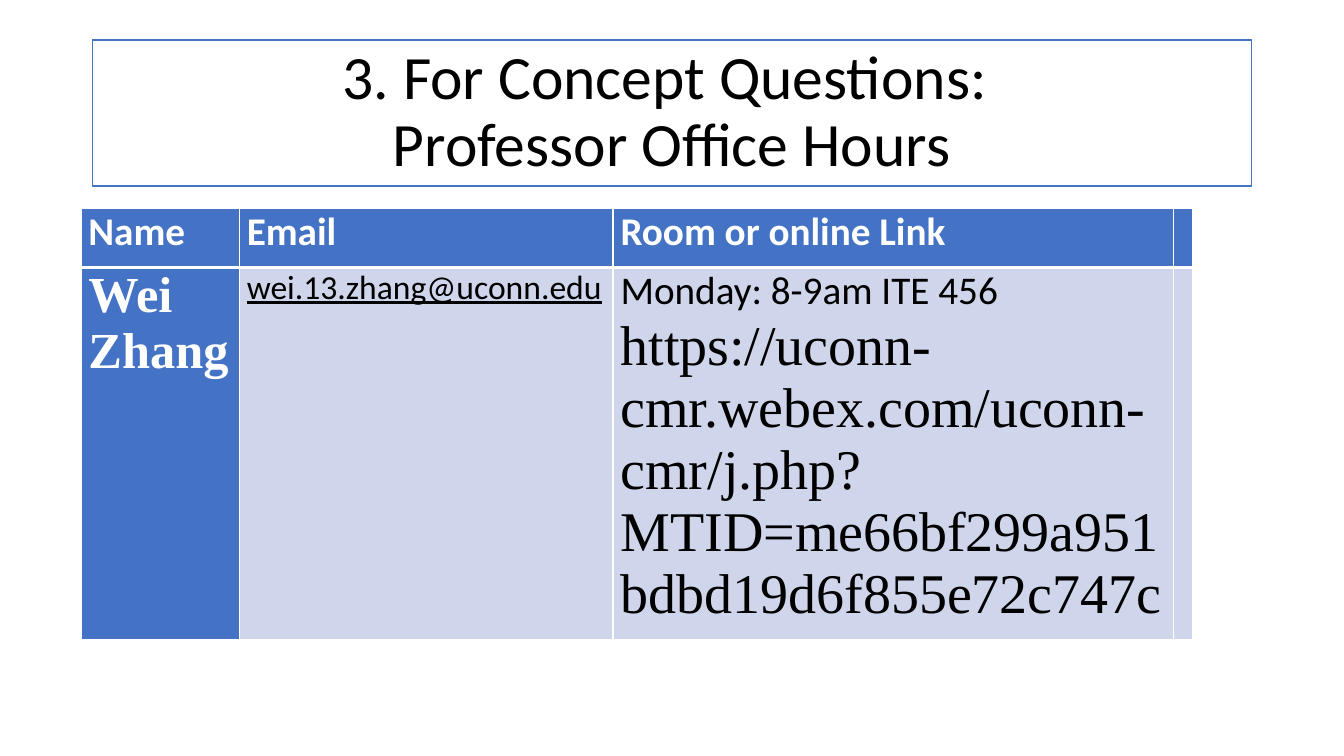
from lxml import etree
from pptx import Presentation
from pptx.dml.color import RGBColor
from pptx.enum.shapes import MSO_SHAPE
from pptx.enum.text import MSO_ANCHOR, PP_ALIGN
from pptx.oxml.ns import qn
from pptx.util import Cm, Pt

RECT = MSO_SHAPE.RECTANGLE
MIDDLE = MSO_ANCHOR.MIDDLE
CENTER = PP_ALIGN.CENTER

SANS, SERIF = "Calibri", "Times New Roman"
WHITE, BLACK, BLUE, PALE = "FFFFFF", "000000", "4472C4", "CFD5EA"

TITLE = "3. For Concept Questions: \vProfessor Office Hours"
WIDTHS = [3.99, 9.42, 14.12, 0.46]
HEIGHTS = [1.5, 9.37]
ROWS = [
    [
        [("Name", 28, SANS)],
        [("Email", 28, SANS)],
        [("Room or online Link", 28, SANS)],
        [],
    ],
    [
        [("Wei Zhang", 36, SERIF)],
        [("wei.13.zhang@uconn.edu", 24, SANS)],
        [
            ("Monday: 8-9am ITE 456", 28, SANS),
            ("https://uconn-cmr.webex.com/uconn-cmr/j.php?MTID=me66bf299a951bdbd19d6f855e72c747c", 40, SERIF),
        ],
        [],
    ],
]


def paint(fill, color):
    fill.solid()
    fill.fore_color.rgb = RGBColor.from_string(color)


def write(para, text, size, face, color, bold=False):
    para.text = text
    font = para.font
    font.size, font.name, font.bold = Pt(size), face, bold
    paint(font.fill, color)


def edge(cell, side, width):
    props = cell._tc.get_or_add_tcPr()
    line = etree.SubElement(props, qn("a:ln" + side), w=str(Pt(width)))
    solid = etree.SubElement(line, qn("a:solidFill"))
    etree.SubElement(solid, qn("a:srgbClr"), val=WHITE)


def add_title(slide):
    box = slide.shapes.add_shape(RECT, Cm(2.33), Cm(1.01), Cm(29.21), Cm(3.68))
    box.shadow.inherit = False
    paint(box.fill, WHITE)
    paint(box.line.fill, BLUE)
    box.line.width = Pt(1)
    frame = box.text_frame
    frame.word_wrap = True
    frame.vertical_anchor = MIDDLE
    para = frame.paragraphs[0]
    write(para, TITLE, 44, SANS, BLACK)
    para.alignment = CENTER
    para.line_spacing = 0.9


def fill_cell(cell, lines, row, col):
    for side in "LRTB":
        thick = (row, side) in [(0, "B"), (1, "T")]
        edge(cell, side, 3 if thick else 1)
    head = row == 0 or col == 0
    paint(cell.fill, BLUE if row == 0 or col == 0 else PALE)
    cell.margin_left = cell.margin_right = Cm(0.19)
    cell.margin_top = cell.margin_bottom = 0
    frame = cell.text_frame
    for i, (text, size, face) in enumerate(lines):
        para = frame.add_paragraph() if i else frame.paragraphs[0]
        write(para, text, size, face, WHITE if head else BLACK, head)
        para.font.underline = "@" in text


def add_hours(slide):
    table = slide.shapes.add_table(
        len(ROWS), len(WIDTHS), Cm(2.04), Cm(5.24), Cm(sum(WIDTHS)), Cm(sum(HEIGHTS))
    ).table
    for col, width in zip(table.columns, WIDTHS):
        col.width = Cm(width)
    for row, height in zip(table.rows, HEIGHTS):
        row.height = Cm(height)
    for r, row in enumerate(ROWS):
        for c, lines in enumerate(row):
            fill_cell(table.cell(r, c), lines, r, c)


def main():
    deck = Presentation()
    deck.slide_width, deck.slide_height = Cm(33.87), Cm(19.05)
    slide = deck.slides.add_slide(deck.slide_layouts[6])
    add_title(slide)
    add_hours(slide)
    deck.save("out.pptx")


if __name__ == "__main__":
    main()
